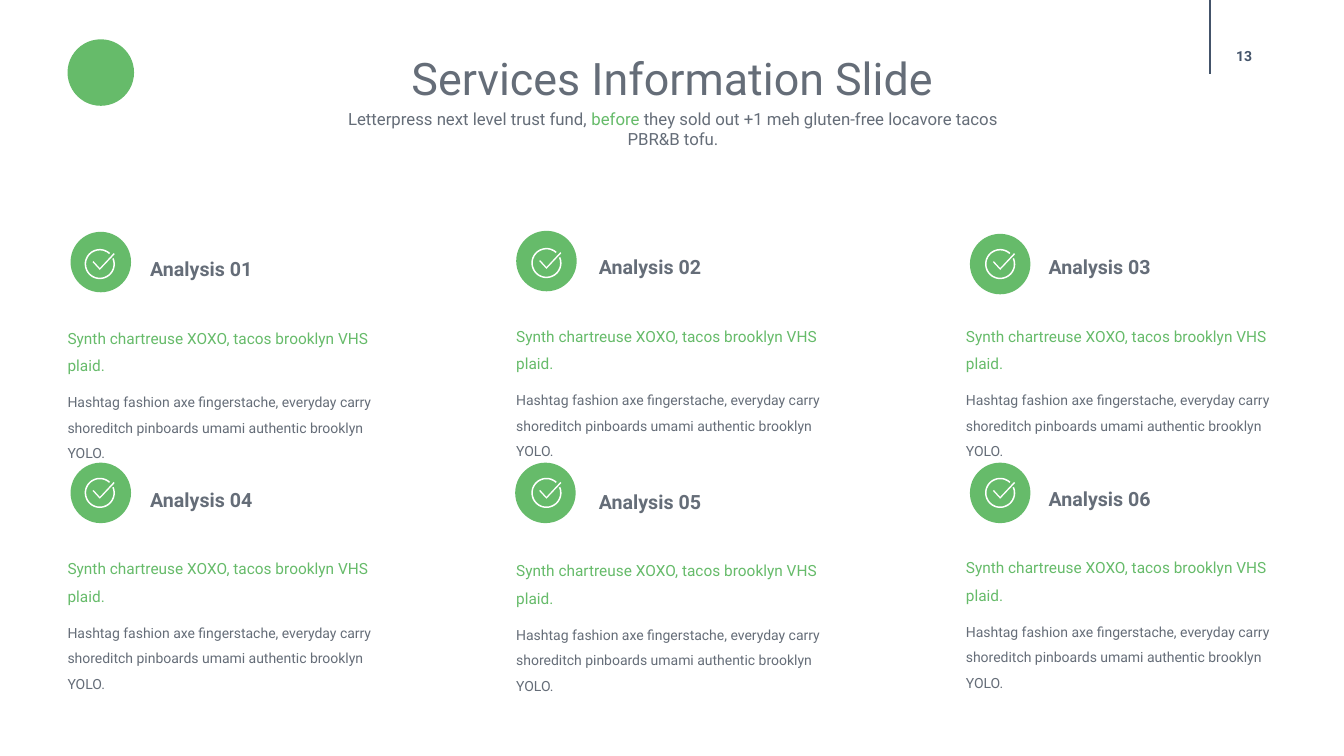
import math

import pptx
import pptx.dml.color
import pptx.enum.shapes
import pptx.enum.text
import pptx.util
from pptx.oxml import parse_xml

# Content
TITLE = "Services Information Slide"
SUBTITLE = [
    ("Letterpress next level trust fund, ", False),
    ("before", True),
    (" they sold out +1 meh gluten-free locavore tacos PBR&B tofu.", False),
]
PAGE_NUMBER = "13"
LEAD = "Synth chartreuse XOXO, tacos brooklyn VHS plaid."
DETAIL = ("Hashtag fashion axe fingerstache, everyday carry shoreditch "
          "pinboards umami authentic brooklyn YOLO.")
# heading, text left, heading top, disc left and top, tick centre
CARDS = [
    ("Analysis 01", 67, 249, (70, 230), (99, 262)),
    ("Analysis 02", 512, 247, (512, 229), (542, 261)),
    ("Analysis 03", 958, 247, (962, 232), (992, 262)),
    ("Analysis 04", 67, 478, (70, 459), (99, 489)),
    ("Analysis 05", 512, 480, (511, 459), (542, 489)),
    ("Analysis 06", 958, 477, (962, 459), (992, 489)),
]

# Format: 100 px to the inch
PX = 9144
GREEN = pptx.dml.color.RGBColor(0x66, 0xBB, 0x6A)
GREY = pptx.dml.color.RGBColor(0x65, 0x6D, 0x78)
SLATE = pptx.dml.color.RGBColor(0x44, 0x54, 0x6A)
WHITE = pptx.dml.color.RGBColor(0xFF, 0xFF, 0xFF)
CENTER = pptx.enum.text.PP_ALIGN.CENTER
LEFT = pptx.enum.text.PP_ALIGN.LEFT
MIDDLE = pptx.enum.text.MSO_ANCHOR.MIDDLE
TOP = pptx.enum.text.MSO_ANCHOR.TOP
OVAL = pptx.enum.shapes.MSO_SHAPE.OVAL
STRAIGHT = pptx.enum.shapes.MSO_CONNECTOR.STRAIGHT

# Tick icon, in tenths of a px around its centre
RING_OUTER, RING_INNER = 150, 135
RING_ANGLES = range(-23, 316, 6)
TICK = [(-72, -20), (-62, -28), (0, 40), (138, -108), (148, -98), (0, 58)]

deck = pptx.Presentation()
deck.slide_width, deck.slide_height = 1333 * PX, 750 * PX
page = deck.slides.add_slide(deck.slide_layouts[6])


def add_text(place, paragraphs, align=LEFT, anchor=TOP, inset=(0, 0)):
    """Each paragraph is (spans, format); each span is (text, size, colour, bold)."""
    box = page.shapes.add_textbox(*(n * PX for n in place))
    side, edge = (n * PX for n in inset)
    frame_format = {"word_wrap": True, "vertical_anchor": anchor,
                    "margin_left": side, "margin_right": side,
                    "margin_top": edge, "margin_bottom": edge}
    for name, value in frame_format.items():
        setattr(box.text_frame, name, value)
    for index, (spans, para_format) in enumerate(paragraphs):
        para = box.text_frame.add_paragraph() if index else box.text_frame.paragraphs[0]
        for name, value in {"alignment": align, **para_format}.items():
            setattr(para, name, value)
        for text, size, colour, bold in spans:
            span = para.add_run()
            span.text = text
            font_format = {"name": "Roboto", "size": pptx.util.Pt(size), "bold": bold}
            for name, value in font_format.items():
                setattr(span.font, name, value)
            span.font.color.rgb = colour


def paint(shape, colour):
    shape.shadow.inherit = False
    shape.fill.solid()
    shape.fill.fore_color.rgb = colour
    shape.line.fill.background()


def add_disc(left, top, size):
    paint(page.shapes.add_shape(OVAL, left * PX, top * PX, size * PX, size * PX), GREEN)


def arc(radius, angles):
    return [(round(radius * math.cos(math.radians(a))),
             round(radius * math.sin(math.radians(a)))) for a in angles]


def add_tick(x, y):
    ring = arc(RING_OUTER, RING_ANGLES) + arc(RING_INNER, reversed(RING_ANGLES))
    builder = page.shapes.build_freeform(*ring[0], scale=PX / 10)
    builder.add_line_segments(ring[1:], close=True)
    builder.move_to(*TICK[0])
    builder.add_line_segments(TICK[1:], close=True)
    paint(builder.convert_to_shape(x * PX, y * PX), WHITE)


# Header: emblem, rule, page number, title
add_disc(67, 39, 66)
rule = page.shapes.add_connector(STRAIGHT, 1200 * PX, 0, 1200 * PX, 73 * PX)
rule.line.color.rgb = SLATE
rule.line.width = pptx.util.Pt(1)
rule._element.spPr.append(parse_xml(
    '<a:effectLst xmlns:a="http://schemas.openxmlformats.org/drawingml/2006/main"/>'))
add_text((1194, 36, 80, 40), [([(PAGE_NUMBER, 10, SLATE, True)], {})], CENTER, MIDDLE)
add_text((254, 45, 826, 64), [([(TITLE, 32, GREY, False)], {})], CENTER, inset=(10, 5))
subtitle_spans = [(text, 12, GREEN if accent else GREY, False) for text, accent in SUBTITLE]
add_text((320, 103, 695, 30), [(subtitle_spans, {})], CENTER, inset=(10, 5))

# Cards
for heading, left, top, disc, tick in CARDS:
    add_text((left + 82, top, 193, 28),
             [([(heading, 14, GREY, True)], {"line_spacing": 1.3})], anchor=MIDDLE)
    add_text((left, top + 68, 310, 87), [
        ([(LEAD, 11, GREEN, False)], {"line_spacing": 1.5}),
        ([(DETAIL, 10, GREY, False)],
         {"line_spacing": 1.5, "space_before": pptx.util.Pt(7.5)}),
    ])
    add_disc(*disc, 60)
    add_tick(*tick)

deck.save("out.pptx")
